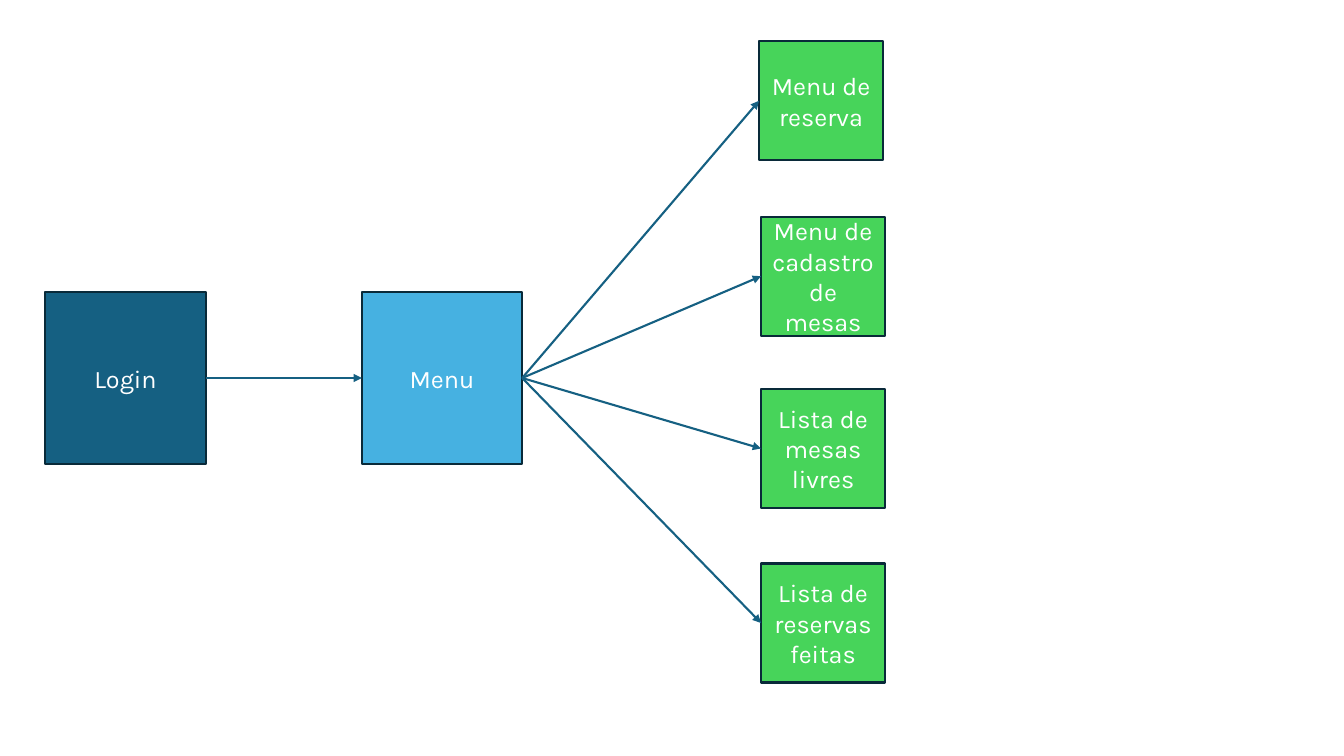
"""Build the screen flow slide: login, menu and the four screens it opens."""
from dataclasses import dataclass

import pptx
import pptx.dml.color
import pptx.enum.shapes
import pptx.enum.text
import pptx.oxml
import pptx.oxml.ns
import pptx.util

Pt = pptx.util.Pt
LEFT_SITE, RIGHT_SITE = 1, 3


@dataclass(frozen=True)
class Theme:
    font: str = "Karla"
    size: float = 18
    stroke: float = 1.5
    login: str = "156082"
    menu: str = "46B1E1"
    screen: str = "47D45A"
    outline: str = "092A39"
    arrow: str = "156082"
    text: str = "FFFFFF"


def rgb(value):
    return pptx.dml.color.RGBColor.from_string(value)


def write(tf, text, *, font, size, color):
    tf.word_wrap = True
    tf.vertical_anchor = pptx.enum.text.MSO_ANCHOR.MIDDLE
    p = tf.paragraphs[0]
    p.alignment = pptx.enum.text.PP_ALIGN.CENTER
    r = p.add_run()
    r.text = text
    r.font.name = font
    r.font.size = Pt(size)
    r.font.color.rgb = rgb(color)


class FlowSlide:
    def __init__(self, prs, theme):
        self.theme = theme
        self.s = prs.slides.add_slide(prs.slide_layouts[6])

    def outline(self, line, color):
        line.color.rgb = rgb(color)
        line.width = Pt(self.theme.stroke)

    def box(self, text, left, top, width, height, fill):
        t = self.theme
        sp = self.s.shapes.add_shape(
            pptx.enum.shapes.MSO_SHAPE.RECTANGLE,
            Pt(left), Pt(top), Pt(width), Pt(height))
        sp.shadow.inherit = False
        sp.fill.solid()
        sp.fill.fore_color.rgb = rgb(fill)
        self.outline(sp.line, t.outline)
        write(sp.text_frame, text, font=t.font, size=t.size, color=t.text)
        return sp

    def arrow(self, source, target):
        cxn = self.s.shapes.add_connector(
            pptx.enum.shapes.MSO_CONNECTOR.STRAIGHT, 0, 0, 0, 0)
        cxn.begin_connect(source, RIGHT_SITE)
        cxn.end_connect(target, LEFT_SITE)
        self.outline(cxn.line, self.theme.arrow)
        qn = pptx.oxml.ns.qn
        head = cxn.line._get_or_add_ln().makeelement(
            qn("a:tailEnd"), {"type": "triangle"})
        cxn.line._get_or_add_ln().append(head)
        sp_pr = cxn._element.spPr
        sp_pr.append(sp_pr.makeelement(qn("a:effectLst"), {}))


def main():
    prs = pptx.Presentation()
    prs.slide_width, prs.slide_height = Pt(960), Pt(540)
    theme = Theme()
    flow = FlowSlide(prs, theme)

    login = flow.box("Login", 32.4, 208.8, 114.5, 122.4, theme.login)
    menu = flow.box("Menu", 258.5, 208.8, 114.5, 122.4, theme.menu)
    flow.arrow(login, menu)

    screens = [
        ("Menu de reserva", 542.2, 29.5),
        ("Menu de cadastro de mesas", 543.6, 154.8),
        ("Lista de mesas livres", 543.6, 277.9),
        ("Lista de reservas feitas", 543.6, 402.5),
    ]
    for text, left, top in screens:
        screen = flow.box(text, left, top, 88.6, 85, theme.screen)
        flow.arrow(menu, screen)

    prs.save("out.pptx")


if __name__ == "__main__":
    main()
